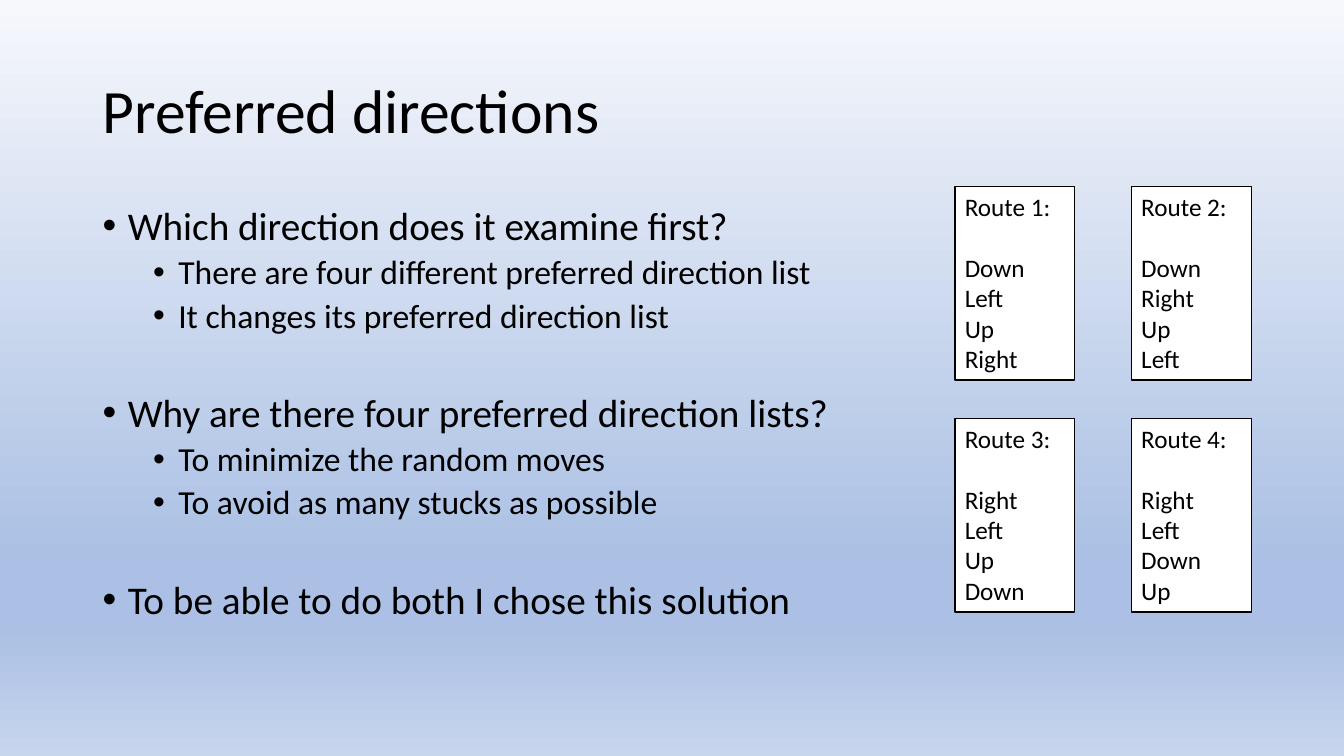
from lxml.etree import SubElement
from pptx import Presentation
from pptx.dml.color import RGBColor
from pptx.enum.shapes import MSO_SHAPE as Shape
from pptx.enum.text import MSO_ANCHOR as Anchor, MSO_AUTO_SIZE as Fit, PP_ALIGN as Align
from pptx.oxml.ns import qn
from pptx.util import Inches, Pt

BLACK = RGBColor(0, 0, 0)
WHITE = RGBColor(255, 255, 255)
PALE = RGBColor(0xF6, 0xF8, 0xFC)
BLUE = RGBColor(0xAB, 0xC0, 0xE4)
LIGHT = RGBColor(0xC7, 0xD5, 0xED)
STOPS = [(0, PALE), (74, BLUE), (83, BLUE), (100, LIGHT)]
FONT = "Calibri"
GAP = 41.4

TOPICS = [
    ("Which direction does it examine first?",
     ["There are four different preferred direction list",
      "It changes its preferred direction list"]),
    ("Why are there four preferred direction lists?",
     ["To minimize the random moves",
      "To avoid as many stucks as possible"]),
    ("To be able to do both I chose this solution", []),
]
ROUTES = [
    ["Down", "Left", "Up", "Right"],
    ["Down", "Right", "Up", "Left"],
    ["Right", "Left", "Up", "Down"],
    ["Right", "Left", "Down", "Up"],
]


def paint_back(slide):
    """Fill the slide background with the vertical blue gradient."""
    fill = slide.background.fill
    fill.gradient()
    fill.gradient_angle = 270
    stops = slide.element.find(".//" + qn("a:gsLst"))
    stops.clear()
    for place, color in STOPS:
        stop = SubElement(stops, qn("a:gs"), pos=str(place * 1000))
        SubElement(stop, qn("a:srgbClr"), val=str(color))


def add_line(frame, text, size, before=0, spacing=None):
    """Write one paragraph, using the empty first one if it is free."""
    para = frame.paragraphs[0]
    if para.runs:
        para = frame.add_paragraph()
    para.text = text
    para.alignment = Align.LEFT
    para.space_before = Pt(before)
    if spacing:
        para.line_spacing = spacing
    para.font.size = Pt(size)
    para.font.name = FONT
    para.font.color.rgb = BLACK
    return para


def add_bullet(frame, text, level, before):
    """Write a bulleted paragraph of the given level."""
    para = add_line(frame, text, 28 - 4 * level, before, 0.9)
    para.level = level
    props = para._p.get_or_add_pPr()
    props.set("marL", str(Inches(0.25 + 0.5 * level)))
    props.set("indent", str(Inches(-0.25)))
    font = props.makeelement(qn("a:buFont"), typeface="Arial")
    mark = props.makeelement(qn("a:buChar"), char="•")
    props.find(qn("a:defRPr")).addprevious(font)
    font.addnext(mark)


def add_box(slide, top, height):
    """Add a wide wrapping text box and return its frame."""
    box = slide.shapes.add_textbox(Inches(0.92), Inches(top), Inches(11.5), Inches(height))
    box.text_frame.word_wrap = True
    return box.text_frame


def add_title(slide, text):
    """Add the slide title."""
    frame = add_box(slide, 0.4, 1.45)
    frame.vertical_anchor = Anchor.MIDDLE
    add_line(frame, text, 44, spacing=0.9)


def add_topics(slide):
    """Add the bulleted questions with their answers."""
    frame = add_box(slide, 2, 4.76)
    for index, (topic, points) in enumerate(TOPICS):
        add_bullet(frame, topic, 0, GAP if index else 10)
        for point in points:
            add_bullet(frame, point, 1, 5)


def add_route(slide, index, moves):
    """Add one route card at its place in the two-by-two grid."""
    row, col = divmod(index, 2)
    card = slide.shapes.add_shape(
        Shape.RECTANGLE, Inches(9.47 + 1.75 * col), Inches(1.85 + 2.3 * row),
        Inches(1.19), Inches(1.92))
    card.shadow.inherit = False
    card.fill.solid()
    card.fill.fore_color.rgb = WHITE
    card.line.color.rgb = BLACK
    card.line.width = Pt(1)
    frame = card.text_frame
    frame.word_wrap = True
    frame.auto_size = Fit.SHAPE_TO_FIT_TEXT
    frame.vertical_anchor = Anchor.TOP
    add_line(frame, f"Route {index + 1}:", 18)
    for step, move in enumerate(moves):
        add_line(frame, move, 18, 0 if step else 22)


def main():
    """Build and save the slide."""
    deck = Presentation()
    deck.slide_width = Inches(13.33)
    deck.slide_height = Inches(7.5)
    slide = deck.slides.add_slide(deck.slide_layouts[6])
    paint_back(slide)
    add_title(slide, "Preferred directions")
    add_topics(slide)
    for index, moves in enumerate(ROUTES):
        add_route(slide, index, moves)
    deck.save("out.pptx")


main()
